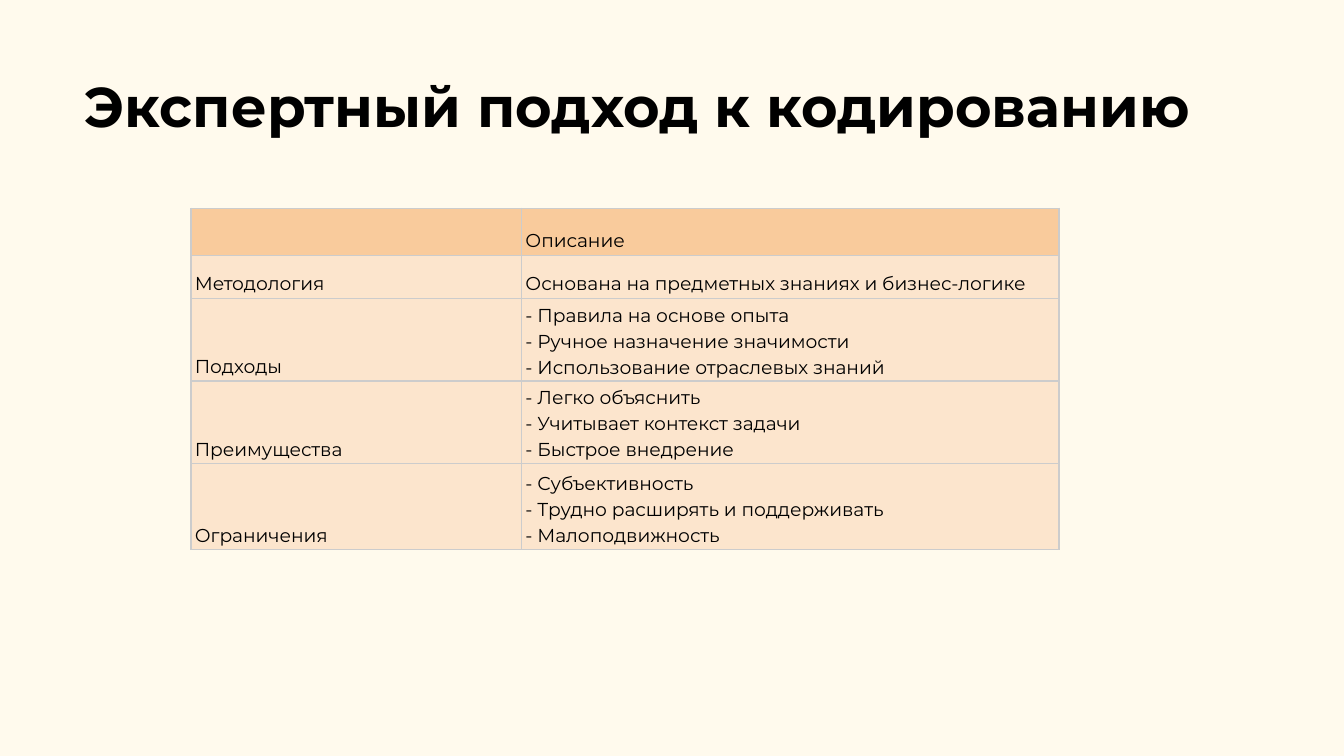
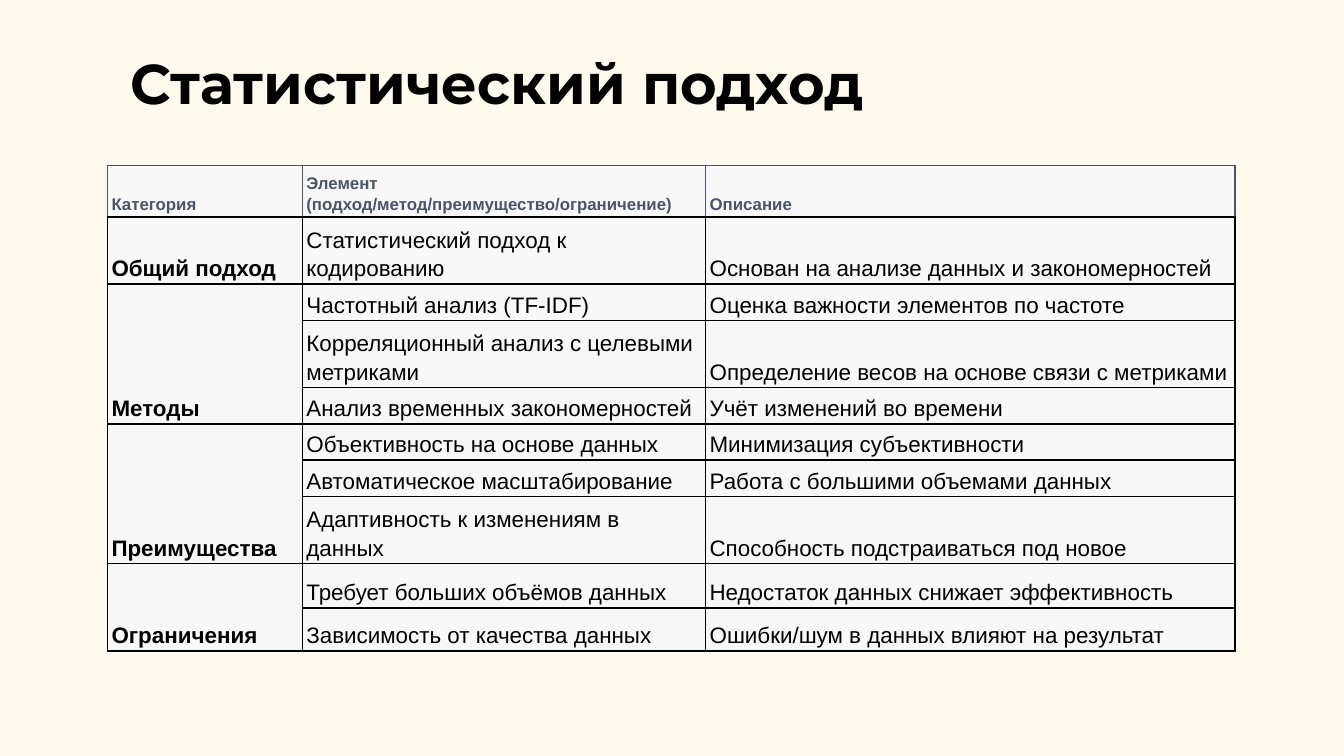
from dataclasses import dataclass
from typing import Any, Optional

from lxml import etree
from pptx import Presentation
from pptx import util as u
from pptx.dml.color import RGBColor
from pptx.enum import text
from pptx.oxml import ns


@dataclass(frozen=True)
class Theme:
    background: str = "FFFAED"
    ink: str = "000000"
    slate: str = "4A5568"
    silver: str = "CCCCCC"
    orange: str = "F9CB9C"
    peach: str = "FCE5CD"
    paper: str = "F8F8F8"
    display_font: str = "Montserrat"
    table_font: str = "Arial"
    title_size: int = 30
    cell_size: int = 12
    small_cell_size: int = 10
    header_size: int = 9
    border_width: int = 1


THEME = Theme()
SLIDE_WIDTH = u.Inches(10)
SLIDE_HEIGHT = u.Emu(SLIDE_WIDTH * 9 // 16)
TITLE_ONLY_LAYOUT = 5
CELL_FRAME = {
    "margin_left": u.Inches(0.03),
    "margin_right": u.Inches(0.03),
    "margin_top": u.Inches(0.02),
    "margin_bottom": u.Inches(0.02),
    "vertical_anchor": text.MSO_ANCHOR.BOTTOM,
}


@dataclass(frozen=True)
class TextStyle:
    font: str
    size: int
    color: str = THEME.ink
    bold: bool = False


@dataclass(frozen=True)
class CellStyle:
    text: TextStyle
    fill: str
    border: str
    bottom_border: str


@dataclass(frozen=True)
class Title:
    content: str
    left: float
    top: float
    width: float
    height: float
    inset: float
    line_spacing: float


@dataclass(frozen=True)
class TableBlock:
    left: float
    top: float
    columns: list[float]
    heights: list[float]
    rows: list[tuple[Optional[str], ...]]
    header: CellStyle
    category: CellStyle
    body: CellStyle

    def style_at(self, row: int, column: int) -> CellStyle:
        if row == 0:
            return self.header
        return self.category if column == 0 else self.body


@dataclass(frozen=True)
class TableSlide:
    title: Title
    table: TableBlock


TITLE_STYLE = TextStyle(THEME.display_font, THEME.title_size, bold=True)
EXPERT_TEXT = TextStyle(THEME.display_font, THEME.small_cell_size)
EXPERT_HEADER = CellStyle(EXPERT_TEXT, THEME.orange, THEME.silver, THEME.silver)
EXPERT_BODY = CellStyle(EXPERT_TEXT, THEME.peach, THEME.silver, THEME.silver)
STATISTIC_HEADER = CellStyle(
    TextStyle(THEME.table_font, THEME.header_size, THEME.slate, True),
    THEME.paper, THEME.slate, THEME.ink,
)
STATISTIC_CATEGORY = CellStyle(
    TextStyle(THEME.table_font, THEME.cell_size, bold=True),
    THEME.paper, THEME.ink, THEME.ink,
)
STATISTIC_BODY = CellStyle(
    TextStyle(THEME.table_font, THEME.cell_size),
    THEME.paper, THEME.ink, THEME.ink,
)

SLIDES = [
    TableSlide(
        Title("Экспертный подход к кодированию", 0.59, 0.55, 9, 0.53, 0.04, 0.9),
        TableBlock(
            1.42, 1.55, [2.46, 4], [0.35, 0.32, 0.35, 0.35, 0.64],
            [
                ("", "Описание"),
                ("Методология", "Основана на предметных знаниях и бизнес-логике"),
                ("Подходы", "- Правила на основе опыта\n- Ручное назначение значимости\n"
                            "- Использование отраслевых знаний"),
                ("Преимущества", "- Легко объяснить\n- Учитывает контекст задачи\n"
                                 "- Быстрое внедрение"),
                ("Ограничения", "- Субъективность\n- Трудно расширять и поддерживать\n"
                                "- Малоподвижность"),
            ],
            EXPERT_HEADER, EXPERT_BODY, EXPERT_BODY,
        ),
    ),
    TableSlide(
        Title("Статистический подход", 0.87, 0.26, 7.51, 0.71, 0.1, 1.0),
        TableBlock(
            0.8, 1.23, [1.45, 3, 3.94],
            [0.18, 0.41, 0.22, 0.41, 0.22, 0.22, 0.22, 0.22, 0.33, 0.32],
            [
                ("Категория", "Элемент (подход/метод/преимущество/ограничение)", "Описание"),
                ("Общий подход", "Статистический подход к кодированию",
                 "Основан на анализе данных и закономерностей"),
                ("Методы", "Частотный анализ (TF-IDF)", "Оценка важности элементов по частоте"),
                (None, "Корреляционный анализ с целевыми метриками",
                 "Определение весов на основе связи с метриками"),
                (None, "Анализ временных закономерностей", "Учёт изменений во времени"),
                ("Преимущества", "Объективность на основе данных", "Минимизация субъективности"),
                (None, "Автоматическое масштабирование", "Работа с большими объемами данных"),
                (None, "Адаптивность к изменениям в данных",
                 "Способность подстраиваться под новое"),
                ("Ограничения", "Требует больших объёмов данных",
                 "Недостаток данных снижает эффективность"),
                (None, "Зависимость от качества данных",
                 "Ошибки/шум в данных влияют на результат"),
            ],
            STATISTIC_HEADER, STATISTIC_CATEGORY, STATISTIC_BODY,
        ),
    ),
]


def apply_format(target: Any, values: dict[str, Any]) -> None:
    for name, value in values.items():
        setattr(target, name, value)


def write_text(frame: Any, content: str, style: TextStyle, line_spacing: float) -> None:
    frame.text = content
    for paragraph in frame.paragraphs:
        apply_format(paragraph, {
            "alignment": text.PP_ALIGN.LEFT,
            "line_spacing": line_spacing,
        })
        for run in paragraph.runs:
            apply_format(run.font, {
                "name": style.font,
                "size": u.Pt(style.size),
                "bold": style.bold,
            })
            run.font.color.rgb = RGBColor.from_string(style.color)


def draw_borders(cell: Any, style: CellStyle) -> None:
    properties = cell._tc.get_or_add_tcPr()
    colors = {"lnL": style.border, "lnR": style.border,
              "lnT": style.border, "lnB": style.bottom_border}
    for index, (side, color) in enumerate(colors.items()):
        line = etree.Element(ns.qn(f"a:{side}"), w=str(u.Pt(THEME.border_width)))
        fill = etree.SubElement(line, ns.qn("a:solidFill"))
        etree.SubElement(fill, ns.qn("a:srgbClr"), val=color)
        properties.insert(index, line)


def draw_title(slide: Any, title: Title) -> None:
    shape = slide.shapes.title
    apply_format(shape, {
        name: u.Inches(getattr(title, name))
        for name in ("left", "top", "width", "height")
    })
    frame = shape.text_frame
    apply_format(frame, {
        f"margin_{side}": u.Inches(title.inset)
        for side in ("left", "right", "top", "bottom")
    })
    apply_format(frame, {
        "word_wrap": True,
        "auto_size": text.MSO_AUTO_SIZE.SHAPE_TO_FIT_TEXT,
        "vertical_anchor": text.MSO_ANCHOR.TOP,
    })
    write_text(frame, title.content, TITLE_STYLE, title.line_spacing)


def merge_categories(table: Any, rows: list[tuple[Optional[str], ...]]) -> None:
    starts = [index for index, row in enumerate(rows) if row[0] is not None]
    for start, following in zip(starts, starts[1:] + [len(rows)]):
        if following - start > 1:
            table.cell(start, 0).merge(table.cell(following - 1, 0))


def draw_table(slide: Any, block: TableBlock) -> None:
    table = slide.shapes.add_table(
        len(block.rows), len(block.columns), u.Inches(block.left), u.Inches(block.top),
        u.Inches(sum(block.columns)), u.Inches(sum(block.heights)),
    ).table
    apply_format(table, {"first_row": False, "horz_banding": False})
    for column, width in zip(table.columns, block.columns):
        column.width = u.Inches(width)
    for row, height in zip(table.rows, block.heights):
        row.height = u.Inches(height)
    for row_index, row in enumerate(block.rows):
        for column_index, content in enumerate(row):
            cell = table.cell(row_index, column_index)
            style = block.style_at(row_index, column_index)
            apply_format(cell, CELL_FRAME)
            cell.fill.solid()
            cell.fill.fore_color.rgb = RGBColor.from_string(style.fill)
            draw_borders(cell, style)
            if content:
                write_text(cell.text_frame, content, style.text, 1.15)
    merge_categories(table, block.rows)


def main() -> None:
    presentation = Presentation()
    apply_format(presentation, {
        "slide_width": SLIDE_WIDTH,
        "slide_height": SLIDE_HEIGHT,
    })
    background = presentation.slide_master.background.fill
    background.solid()
    background.fore_color.rgb = RGBColor.from_string(THEME.background)
    for content in SLIDES:
        slide = presentation.slides.add_slide(presentation.slide_layouts[TITLE_ONLY_LAYOUT])
        draw_title(slide, content.title)
        draw_table(slide, content.table)
    presentation.save("out.pptx")


if __name__ == "__main__":
    main()
